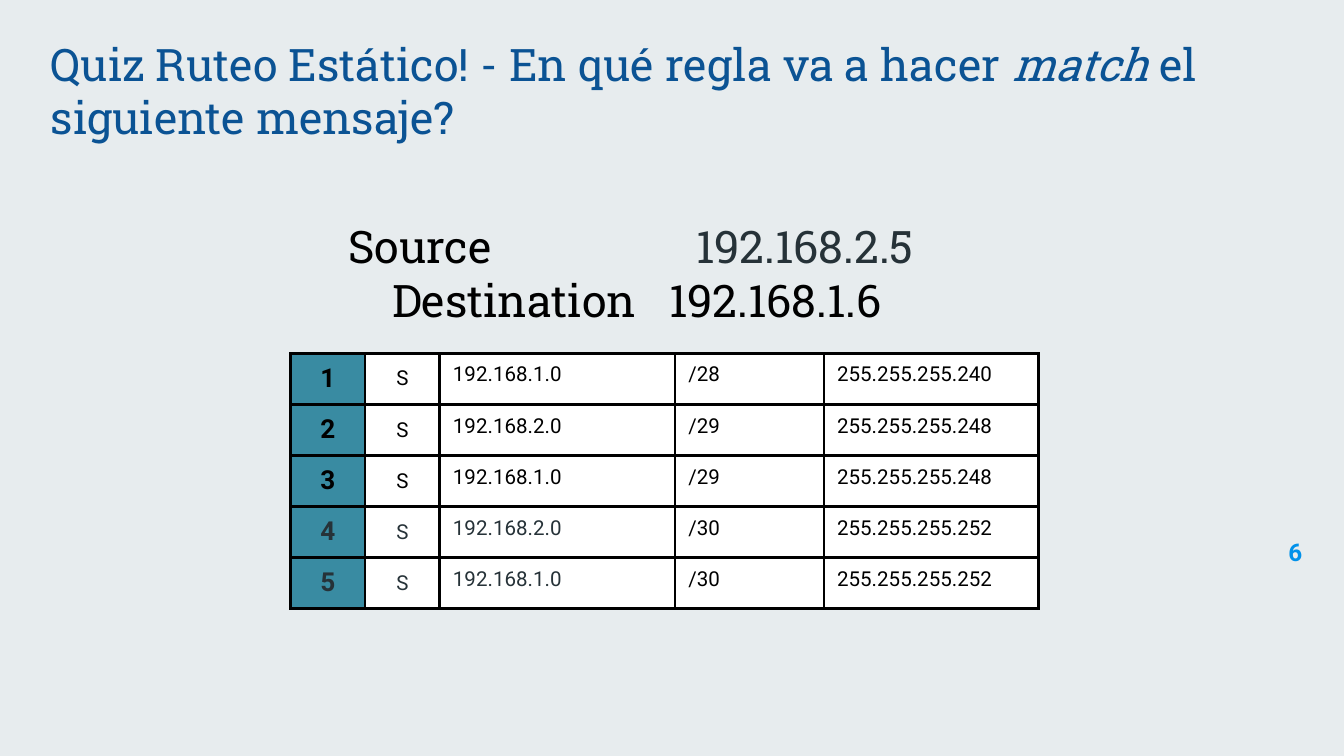
from lxml import etree
from pptx import Presentation
from pptx.dml.color import RGBColor
from pptx.enum import text
from pptx.oxml import ns
from pptx.util import Cm, Pt

BLACK, SLATE, WHITE = "000000", "263238", "FFFFFF"
BLUE, SKY, TEAL, PALE = "0B5394", "0091EA", "398BA2", "E7ECEE"
SLAB, SANS = "Roboto Slab", "Roboto"
ALIGN, ANCHOR = text.PP_ALIGN, text.MSO_ANCHOR

TITLE = [
    ("Quiz Ruteo Estático! - En qué regla va a hacer ", False),
    ("match", True),
    (" el siguiente mensaje?", False),
]
# label, its tab stop (cm), address, its tab stop (cm), address colour
MESSAGE = [
    ("Source", 1.62, "192.168.2.5", 8.19, SLATE),
    ("Destination", 2.44, "192.168.1.6", 7.68, BLACK),
]
# network, prefix, mask, colour of the number, type and network
RULES = [
    ("192.168.1.0", "/28", "255.255.255.240", BLACK),
    ("192.168.2.0", "/29", "255.255.255.248", BLACK),
    ("192.168.1.0", "/29", "255.255.255.248", BLACK),
    ("192.168.2.0", "/30", "255.255.255.252", SLATE),
    ("192.168.1.0", "/30", "255.255.255.252", SLATE),
]
COLUMN_WIDTHS = [1.41, 1.41, 4.45, 2.81, 4.06]
ROW_HEIGHT = 0.965


def rgb(value):
    return RGBColor.from_string(value)


def add_text(para, words, size=24, font=SLAB, color=BLACK, bold=False,
             italic=False, align=ALIGN.LEFT):
    para.alignment = align
    span = para.add_run()
    span.text = words
    span.font.name, span.font.size = font, Pt(size)
    span.font.bold, span.font.italic = bold, italic
    span.font.color.rgb = rgb(color)


def prepare_frame(box, anchor=ANCHOR.TOP):
    frame = box.text_frame
    frame.word_wrap = True
    frame.auto_size = text.MSO_AUTO_SIZE.NONE
    frame.vertical_anchor = anchor
    frame.margin_left = frame.margin_right = Cm(0.25)
    frame.margin_top = frame.margin_bottom = Cm(0.25)
    return frame


def add_tabs(para, stops):
    tabs = etree.SubElement(para._p.get_or_add_pPr(), ns.qn("a:tabLst"))
    for stop in stops:
        etree.SubElement(tabs, ns.qn("a:tab"), pos=str(Cm(stop)), algn="l")


def add_borders(cell):
    properties = cell._tc.get_or_add_tcPr()
    for side in ("lnL", "lnR", "lnT", "lnB"):
        line = etree.SubElement(properties, ns.qn("a:" + side), w=str(Pt(1.5)))
        fill = etree.SubElement(line, ns.qn("a:solidFill"))
        etree.SubElement(fill, ns.qn("a:srgbClr"), val=BLACK)


def add_title(page):
    box = page.shapes.title
    box.left, box.top, box.width, box.height = Cm(0.71), Cm(0.48), Cm(23.19), Cm(2.49)
    para = prepare_frame(box, ANCHOR.BOTTOM).paragraphs[0]
    for words, italic in TITLE:
        add_text(para, words, color=BLUE, italic=italic)


def add_message(page):
    box = page.shapes.add_textbox(Cm(4.72), Cm(3.89), Cm(14.71), Cm(2.49))
    frame = prepare_frame(box)
    for index, (label, label_stop, address, address_stop, color) in enumerate(MESSAGE):
        para = frame.add_paragraph() if index else frame.paragraphs[0]
        add_tabs(para, (label_stop, address_stop))
        add_text(para, f"\t{label}\t")
        add_text(para, address, color=color)


def add_rules(page):
    frame = page.shapes.add_table(
        len(RULES), len(COLUMN_WIDTHS), Cm(5.49), Cm(6.68),
        Cm(sum(COLUMN_WIDTHS)), Cm(ROW_HEIGHT * len(RULES)))
    table = frame.table
    table.first_row = table.horz_banding = False
    for column, width in zip(table.columns, COLUMN_WIDTHS):
        column.width = Cm(width)
    for number, (network, prefix, mask, color) in enumerate(RULES, 1):
        table.rows[number - 1].height = Cm(ROW_HEIGHT)
        values = (str(number), "S", network, prefix, mask)
        for index, value in enumerate(values):
            cell = table.cell(number - 1, index)
            add_borders(cell)
            cell.fill.solid()
            cell.fill.fore_color.rgb = rgb(WHITE if index else TEAL)
            cell.margin_left = cell.margin_right = Cm(0.25)
            cell.margin_top = cell.margin_bottom = Cm(0.18)
            cell.vertical_anchor = ANCHOR.MIDDLE if index == 1 else ANCHOR.TOP
            add_text(cell.text_frame.paragraphs[0], value, font=SANS,
                     size=11 if index else 14, bold=index == 0,
                     color=color if index < 3 else BLACK,
                     align=ALIGN.CENTER if index < 2 else ALIGN.LEFT)


def add_page_number(page):
    box = page.shapes.add_textbox(Cm(23.34), Cm(9.91), Cm(1.52), Cm(0.81))
    add_text(prepare_frame(box).paragraphs[0], "6", size=13, font=SANS,
             color=SKY, bold=True, align=ALIGN.RIGHT)


def main():
    deck = Presentation()
    deck.slide_width, deck.slide_height = Cm(25.4), Cm(14.29)
    page = deck.slides.add_slide(deck.slide_layouts[5])
    page.background.fill.solid()
    page.background.fill.fore_color.rgb = rgb(PALE)
    add_page_number(page)
    add_message(page)
    add_rules(page)
    add_title(page)
    deck.save("out.pptx")


if __name__ == "__main__":
    main()
